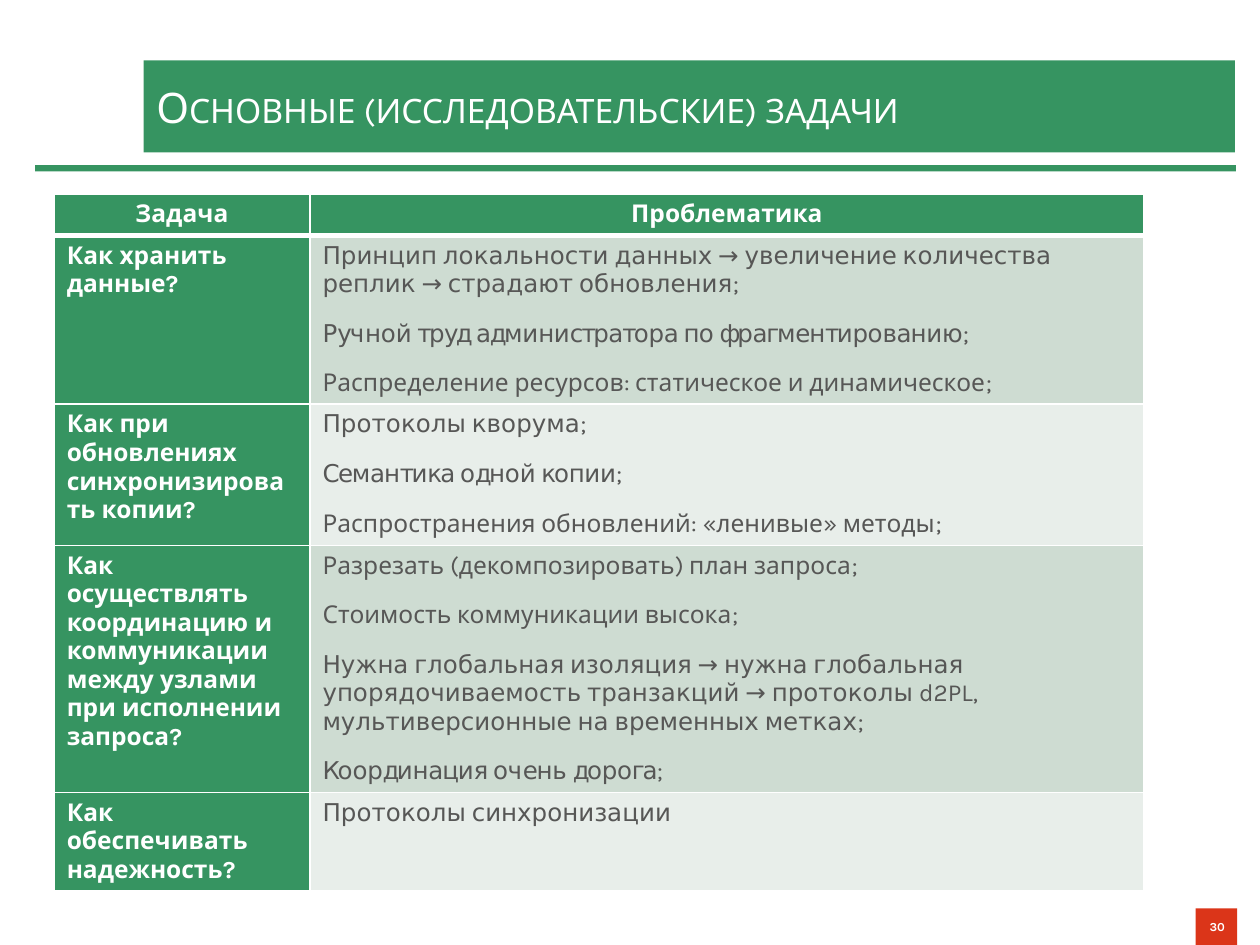
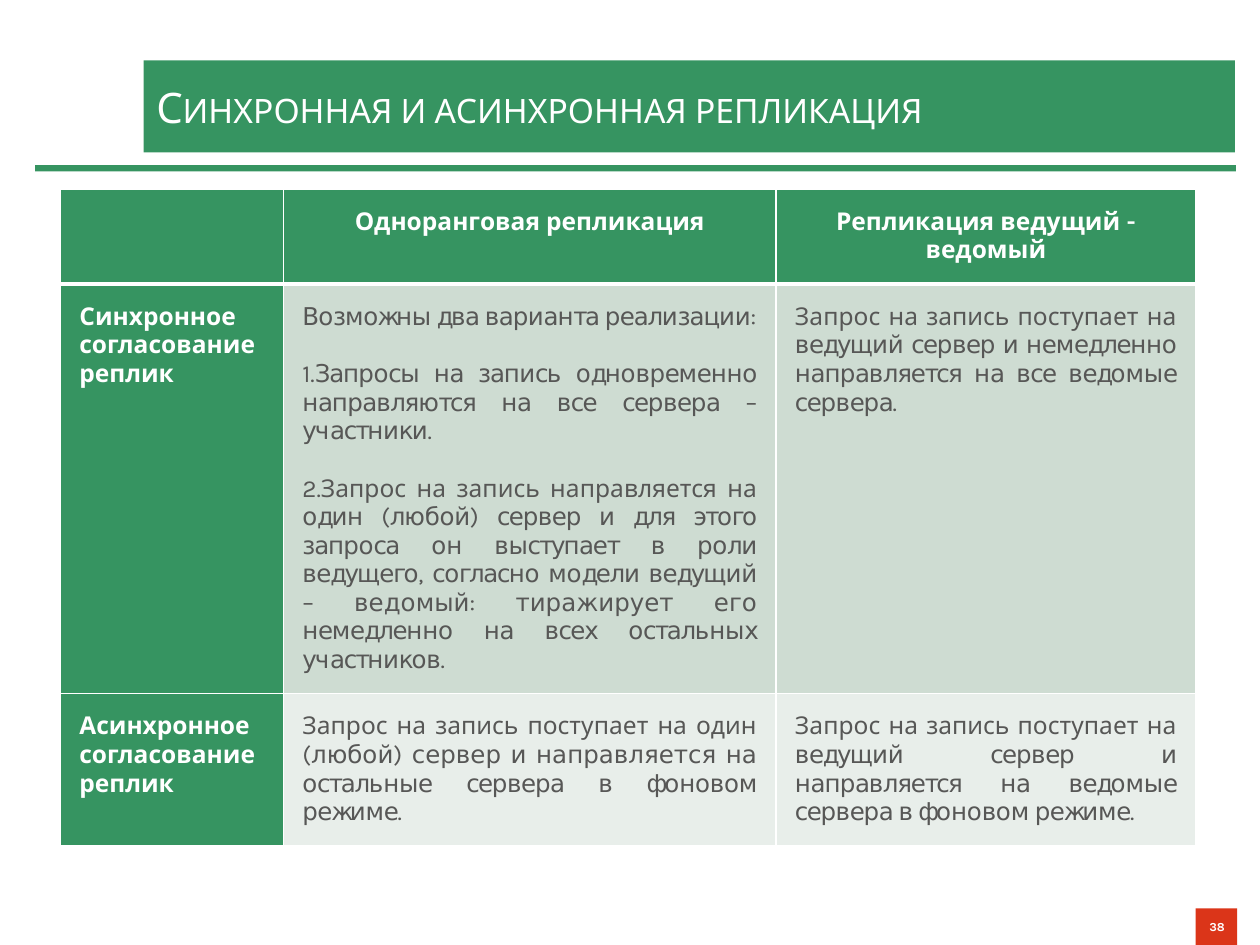
import dataclasses

import pptx
import pptx.dml.color
import pptx.enum.shapes
import pptx.enum.text
import pptx.oxml.ns
import pptx.util
from lxml import etree

Inches = pptx.util.Inches
Pt = pptx.util.Pt
qn = pptx.oxml.ns.qn
Align = pptx.enum.text.PP_ALIGN
Anchor = pptx.enum.text.MSO_ANCHOR


@dataclasses.dataclass(frozen=True)
class Theme:
    font: str = "Karla"
    green: str = "369461"
    red: str = "DB3519"
    white: str = "FFFFFF"
    text: str = "575756"
    bands: tuple = ("CEDCD2", "E8EEEA")
    title_size: float = 24
    table_size: float = 14
    number_size: float = 7
    border: float = 1
    header_border: float = 3


THEME = Theme()

SLIDES = [
    {
        "title": "Основные (исследовательские) задачи",
        "number": "30",
        "position": (0.43, 1.54),
        "columns": [2.03, 6.62],
        "rows": [0.32, 1.34, 1.12, 1.96, 0.77],
        "margins": (0.1, 0.05),
        "gap": 12,
        "align": Align.LEFT,
        "cells": [
            ["Задача", "Проблематика"],
            ["Как хранить данные?", [
                "Принцип локальности данных → увеличение количества реплик → страдают обновления;",
                "Ручной труд администратора по фрагментированию;",
                "Распределение ресурсов: статическое и динамическое;",
            ]],
            ["Как при обновлениях синхронизировать копии?", [
                "Протоколы кворума;",
                "Семантика одной копии;",
                "Распространения обновлений: «ленивые» методы;",
            ]],
            ["Как осуществлять координацию и коммуникации между узлами при исполнении запроса?", [
                "Разрезать (декомпозировать) план запроса;",
                "Стоимость коммуникации высока;",
                "Нужна глобальная изоляция → нужна глобальная упорядочиваемость транзакций "
                "→ протоколы d2PL, мультиверсионные на временных метках;",
                "Координация очень дорога;",
            ]],
            ["Как обеспечивать надежность?", "Протоколы синхронизации"],
        ],
    },
    {
        "title": "Синхронная и асинхронная репликация",
        "number": "38",
        "position": (0.48, 1.5),
        "columns": [1.77, 3.91, 3.33],
        "rows": [0.75, 3.25, 1.2],
        "margins": (0.15, 0.15),
        "gap": 16.4,
        "align": Align.JUSTIFY,
        "cells": [
            ["", "Одноранговая репликация", "Репликация ведущий - ведомый"],
            ["Синхронное согласование реплик", [
                "Возможны два варианта реализации:",
                (1, "Запросы на запись одновременно направляются на все сервера – участники."),
                (2, "Запрос на запись направляется на один (любой) сервер и для этого запроса "
                    "он выступает в роли ведущего, согласно модели ведущий – ведомый: "
                    "тиражирует его немедленно на всех остальных участников."),
            ], "Запрос на запись поступает на ведущий сервер и немедленно направляется "
               "на все ведомые сервера."],
            ["Асинхронное согласование реплик",
             "Запрос на запись поступает на один (любой) сервер и направляется "
             "на остальные сервера в фоновом режиме.",
             "Запрос на запись поступает на ведущий сервер и направляется "
             "на ведомые сервера в фоновом режиме."],
        ],
    },
]


def rgb(value):
    return pptx.dml.color.RGBColor.from_string(value)


def write(frame, content, size, color=THEME.white, bold=False,
          align=Align.LEFT, gap=0, small_caps=False):
    items = content if isinstance(content, list) else [content]
    for index, item in enumerate(items):
        number, text = item if isinstance(item, tuple) else (None, item)
        paragraph = frame.paragraphs[0] if index == 0 else frame.add_paragraph()
        paragraph.alignment = align
        paragraph.space_before = Pt(gap if index else 0)
        if number:
            properties = paragraph._p.get_or_add_pPr()
            properties.set("marL", "0")
            properties.set("indent", "0")
            etree.SubElement(properties, qn("a:buFont"), typeface=THEME.font)
            etree.SubElement(properties, qn("a:buAutoNum"),
                             type="arabicPeriod", startAt=str(number))
        if not text:
            paragraph.font.size = Pt(size)
            continue
        run = paragraph.add_run()
        run.text = text
        run.font.name = THEME.font
        run.font.size = Pt(size)
        run.font.bold = bold
        run.font.color.rgb = rgb(color)
        if small_caps:
            run._r.get_or_add_rPr().set("cap", "small")


def paint(shape, color):
    shape.fill.solid()
    shape.fill.fore_color.rgb = rgb(color)
    shape.line.fill.background()


def add_bar(slide, box, color):
    shape = slide.shapes.add_shape(pptx.enum.shapes.MSO_SHAPE.RECTANGLE,
                                   *map(Inches, box))
    shape.shadow.inherit = False
    paint(shape, color)
    return shape


def add_frame(slide, title, number):
    add_bar(slide, (0.28, 1.31, 9.53, 0.05), THEME.green)

    heading = slide.shapes.title
    heading.left, heading.top, heading.width, heading.height = map(
        Inches, (1.14, 0.48, 8.66, 0.73))
    paint(heading, THEME.green)
    frame = heading.text_frame
    frame.auto_size = pptx.enum.text.MSO_AUTO_SIZE.NONE
    frame.vertical_anchor = Anchor.MIDDLE
    frame.margin_left = frame.margin_right = Inches(0.1)
    frame.margin_top = frame.margin_bottom = Inches(0.12)
    write(frame, title, THEME.title_size, small_caps=True)

    badge = add_bar(slide, (9.49, 7.21, 0.33, 0.29), THEME.red)
    badge.text_frame.vertical_anchor = Anchor.MIDDLE
    write(badge.text_frame, number, THEME.number_size, bold=True, align=Align.RIGHT)


def set_borders(cell, widths):
    properties = cell._tc.get_or_add_tcPr()
    for index, (side, width) in enumerate(widths.items()):
        line = etree.Element(qn(f"a:ln{side}"), w=str(Pt(width)))
        fill = etree.SubElement(line, qn("a:solidFill"))
        etree.SubElement(fill, qn("a:srgbClr"), val=THEME.white)
        properties.insert(index, line)


def add_grid(slide, data):
    columns, rows = data["columns"], data["rows"]
    table = slide.shapes.add_table(
        len(rows), len(columns), *map(Inches, data["position"]),
        Inches(sum(columns)), Inches(sum(rows))).table
    table.horz_banding = False
    for column, width in zip(table.columns, columns):
        column.width = Inches(width)
    for row, height in zip(table.rows, rows):
        row.height = Inches(height)

    side_margin, end_margin = map(Inches, data["margins"])
    for row_index, contents in enumerate(data["cells"]):
        for column_index, content in enumerate(contents):
            cell = table.cell(row_index, column_index)
            is_header = row_index == 0
            is_label = is_header or column_index == 0
            cell.margin_left = cell.margin_right = side_margin
            cell.margin_top = cell.margin_bottom = end_margin
            cell.fill.solid()
            cell.fill.fore_color.rgb = rgb(
                THEME.green if is_label else THEME.bands[(row_index - 1) % 2])
            set_borders(cell, {
                "L": THEME.border,
                "R": THEME.border,
                "T": THEME.header_border if row_index == 1 else THEME.border,
                "B": THEME.header_border if is_header else THEME.border,
            })
            write(cell.text_frame, content, THEME.table_size,
                  color=THEME.white if is_label else THEME.text, bold=is_label,
                  align=Align.CENTER if is_header else data["align"],
                  gap=data["gap"])


def main():
    presentation = pptx.Presentation()
    presentation.slide_width, presentation.slide_height = Inches(10), Inches(7.5)
    title_only = presentation.slide_layouts[5]
    for data in SLIDES:
        slide = presentation.slides.add_slide(title_only)
        add_frame(slide, data["title"], data["number"])
        add_grid(slide, data)
    presentation.save("out.pptx")


if __name__ == "__main__":
    main()
